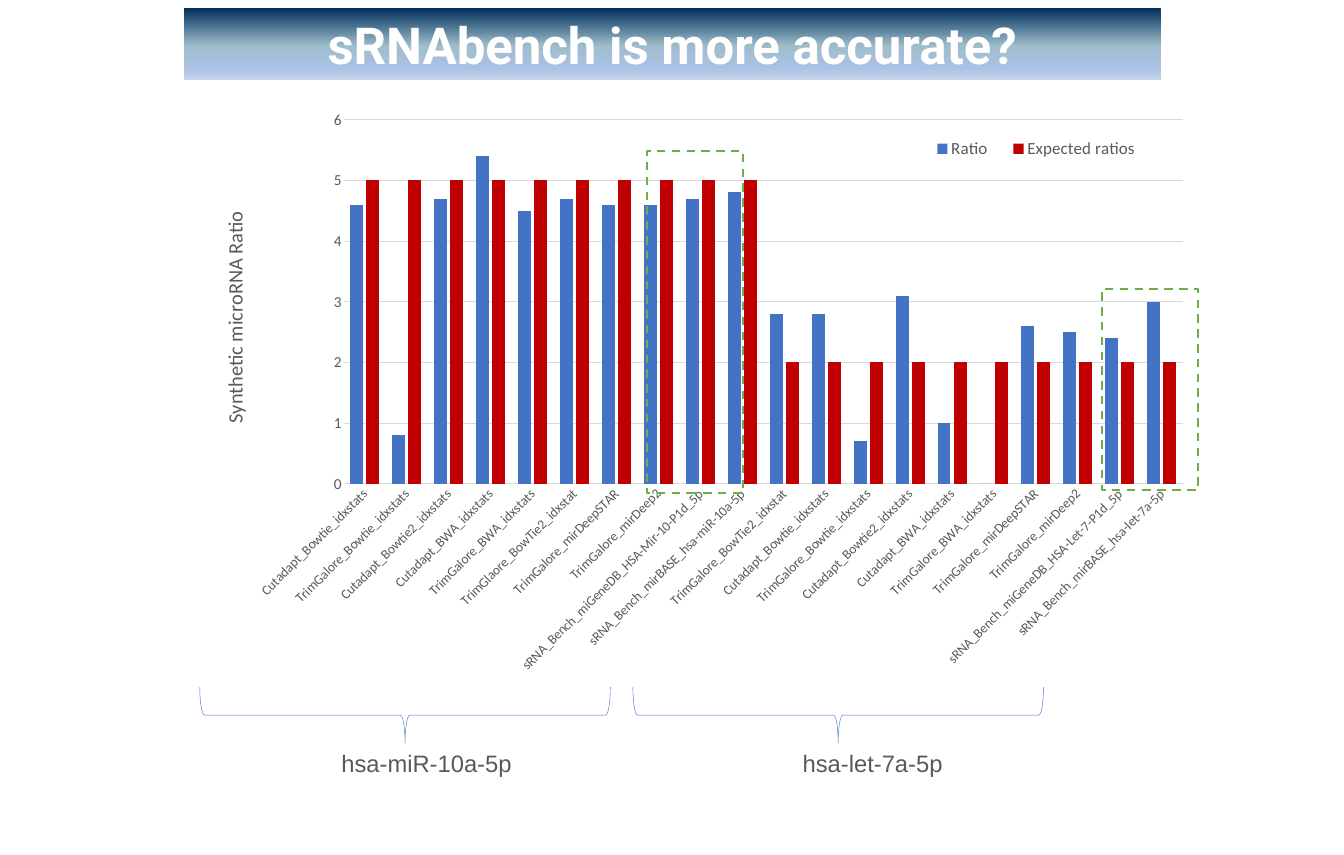
import pptx
import pptx.util
import pptx.chart.data
import pptx.dml.color
import pptx.enum.chart
import pptx.enum.dml
import pptx.enum.shapes
import pptx.enum.text
import pptx.oxml
import pptx.oxml.ns

Pt = pptx.util.Pt
RGB = pptx.dml.color.RGBColor
MSO_SHAPE = pptx.enum.shapes.MSO_SHAPE
qn = pptx.oxml.ns.qn

WHITE = RGB(0xFF, 0xFF, 0xFF)
GREY = RGB(0x59, 0x59, 0x59)
GRID = RGB(0xD9, 0xD9, 0xD9)
BLUE = RGB(0x44, 0x72, 0xC4)
RED = RGB(0xC0, 0x00, 0x00)
GREEN = RGB(0x70, 0xAD, 0x47)
BANNER_STOPS = [(0, RGB(0x00, 0x2E, 0x5B)), (53, RGB(0x9E, 0xBE, 0xCB)),
                (83, RGB(0xAB, 0xC0, 0xE4)), (100, RGB(0xC7, 0xD5, 0xED))]

COLS, ROWS = 22, 14
CELL = pptx.util.Inches(1)

CATEGORIES = [
    "Cutadapt_Bowtie_idxstats", "TrimGalore_Bowtie_idxstats",
    "Cutadapt_Bowtie2_idxstats", "Cutadapt_BWA_idxstats",
    "TrimGalore_BWA_idxstats", "TrimGlaore_BowTie2_idxstat",
    "TrimGalore_mirDeepSTAR", "TrimGalore_mirDeep2",
    "sRNA_Bench_miGeneDB_HSA-Mir-10-P1d_5p",
    "sRNA_Bench_mirBASE_hsa-miR-10a-5p",
    "TrimGalore_BowTie2_idxstat", "Cutadapt_Bowtie_idxstats",
    "TrimGalore_Bowtie_idxstats", "Cutadapt_Bowtie2_idxstats",
    "Cutadapt_BWA_idxstats", "TrimGalore_BWA_idxstats",
    "TrimGalore_mirDeepSTAR", "TrimGalore_mirDeep2",
    "sRNA_Bench_miGeneDB_HSA-Let-7-P1d_5p",
    "sRNA_Bench_mirBASE_hsa-let-7a-5p",
]
RATIOS = [4.6, 0.8, 4.7, 5.4, 4.5, 4.7, 4.6, 4.6, 4.7, 4.8,
          2.8, 2.8, 0.7, 3.1, 1, 0, 2.6, 2.5, 2.4, 3]
EXPECTED = [5] * 10 + [2] * 10


def cells(*lengths):
    return [int(length * CELL) for length in lengths]


def style_font(font, size, color, name, bold=False):
    font.size = Pt(size)
    font.color.rgb = color
    font.name = name
    font.bold = bold


def add_outline(slide, kind, box, color, width):
    sp = slide.shapes.add_shape(kind, *cells(*box))
    sp.shadow.inherit = False
    sp.fill.background()
    sp.line.color.rgb = color
    sp.line.width = Pt(width)
    return sp


def add_banner(slide, box, text):
    sp = slide.shapes.add_shape(MSO_SHAPE.RECTANGLE, *cells(*box))
    sp.shadow.inherit = False
    sp.line.fill.background()
    sp.fill.gradient()
    sp.fill.gradient_angle = 270
    stops = sp._element.spPr.find(qn("a:gradFill")).find(qn("a:gsLst"))
    for gs in list(stops):
        stops.remove(gs)
    for share, color in BANNER_STOPS:
        stops.append(pptx.oxml.parse_xml(
            f'<a:gs {pptx.oxml.ns.nsdecls("a")} pos="{share * 1000}">'
            f'<a:srgbClr val="{color}"/></a:gs>'))
    tf = sp.text_frame
    tf.word_wrap = True
    tf.vertical_anchor = pptx.enum.text.MSO_ANCHOR.MIDDLE
    p = tf.paragraphs[0]
    p.text = text
    p.alignment = pptx.enum.text.PP_ALIGN.CENTER
    style_font(p.runs[0].font, 60, WHITE, "Roboto", True)


def set_layout(parent, index, chart_box, part_box, inner=False):
    for old in parent.findall(qn("c:layout")):
        parent.remove(old)
    left, top, width, height = chart_box
    x, y, w, h = part_box
    target = '<c:layoutTarget val="inner"/>' if inner else ""
    parent.insert(index, pptx.oxml.parse_xml(
        f'<c:layout {pptx.oxml.ns.nsdecls("c")}><c:manualLayout>{target}'
        '<c:xMode val="edge"/><c:yMode val="edge"/>'
        f'<c:x val="{x / width}"/><c:y val="{y / height}"/>'
        f'<c:w val="{w / width}"/><c:h val="{h / height}"/>'
        '</c:manualLayout></c:layout>'))


def rotate_text(element, degrees):
    body = next(element.iter(qn("a:bodyPr")))
    body.set("rot", str(degrees * 60000))
    body.set("vert", "horz")


def style_axes(chart, box):
    no_tick = pptx.enum.chart.XL_TICK_MARK.NONE
    cat, val = chart.category_axis, chart.value_axis
    for axis, size in ((cat, 16), (val, 18)):
        axis.major_tick_mark = axis.minor_tick_mark = no_tick
        style_font(axis.tick_labels.font, size, GREY, "Calibri")
    cat.format.line.color.rgb = GRID
    cat.format.line.width = Pt(1)
    rotate_text(cat._element.find(qn("c:txPr")), -45)
    val.minimum_scale, val.maximum_scale, val.major_unit = 0, 6, 1
    val.format.line.fill.background()
    val.major_gridlines.format.line.color.rgb = GRID
    val.major_gridlines.format.line.width = Pt(0.75)
    title = val.axis_title
    title.text_frame.text = "Synthetic microRNA Ratio"
    style_font(title.text_frame.paragraphs[0].runs[0].font, 24, GREY, "Calibri")
    rotate_text(title._element, -90)
    set_layout(title._element, 1, box, (0.35, 1.79, 0.4, 3.5))


def add_ratio_chart(slide, box):
    data = pptx.chart.data.CategoryChartData()
    data.categories = CATEGORIES
    data.add_series("Ratio", RATIOS)
    data.add_series("Expected ratios", EXPECTED)
    chart = slide.shapes.add_chart(
        pptx.enum.chart.XL_CHART_TYPE.COLUMN_CLUSTERED, *cells(*box), data).chart
    chart.has_title = False
    style_font(chart.font, 10, GREY, "Calibri")
    plot = chart.plots[0]
    plot.gap_width, plot.overlap = 100, -24
    plot.vary_by_categories = False
    for series, color in zip(plot.series, (BLUE, RED)):
        series.format.fill.solid()
        series.format.fill.fore_color.rgb = color
        series.invert_if_negative = False
    style_axes(chart, box)
    chart.has_legend = True
    legend = chart.legend
    legend.position = pptx.enum.chart.XL_LEGEND_POSITION.BOTTOM
    legend.include_in_layout = False
    style_font(legend.font, 20, GREY, "Calibri")
    set_layout(legend._element, 1, box, (11.8, 0.55, 3.9, 0.55))
    plot_area = chart._chartSpace.chart.plotArea
    set_layout(plot_area, 0, box, (2.42, 0.35, 13.73, 5.96), True)


def add_highlight(slide, box):
    sp = add_outline(slide, MSO_SHAPE.RECTANGLE, box, GREEN, 2.5)
    sp.line.dash_style = pptx.enum.dml.MSO_LINE.DASH


def add_brace_group(slide, box, label, indent):
    left, top, width, depth = box
    turned = (left + (width - depth) / 2, top + (depth - width) / 2, depth, width)
    add_outline(slide, MSO_SHAPE.RIGHT_BRACE, turned, BLUE, 0.5).rotation = 90
    tb = slide.shapes.add_textbox(*cells(left + indent, top + depth + 0.04, 3.4, 0.57))
    tf = tb.text_frame
    tf.word_wrap = True
    tf.text = label
    style_font(tf.paragraphs[0].runs[0].font, 28, GREY, "Arial")


def main():
    prs = pptx.Presentation()
    prs.slide_width, prs.slide_height = cells(COLS, ROWS)
    slide = prs.slides.add_slide(prs.slide_layouts[6])
    add_ratio_chart(slide, (3.21, 1.61, 16.49, 10.15))
    add_brace_group(slide, (3.27, 11.25, 6.72, 0.92), "hsa-miR-10a-5p", 2.22)
    add_brace_group(slide, (10.36, 11.25, 6.72, 0.92), "hsa-let-7a-5p", 2.68)
    add_banner(slide, (3.01, 0.13, 15.99, 1.18), "sRNAbench is more accurate?")
    add_highlight(slide, (18.04, 4.73, 1.57, 3.29))
    add_highlight(slide, (10.59, 2.47, 1.57, 5.6))
    prs.save("out.pptx")


if __name__ == "__main__":
    main()
